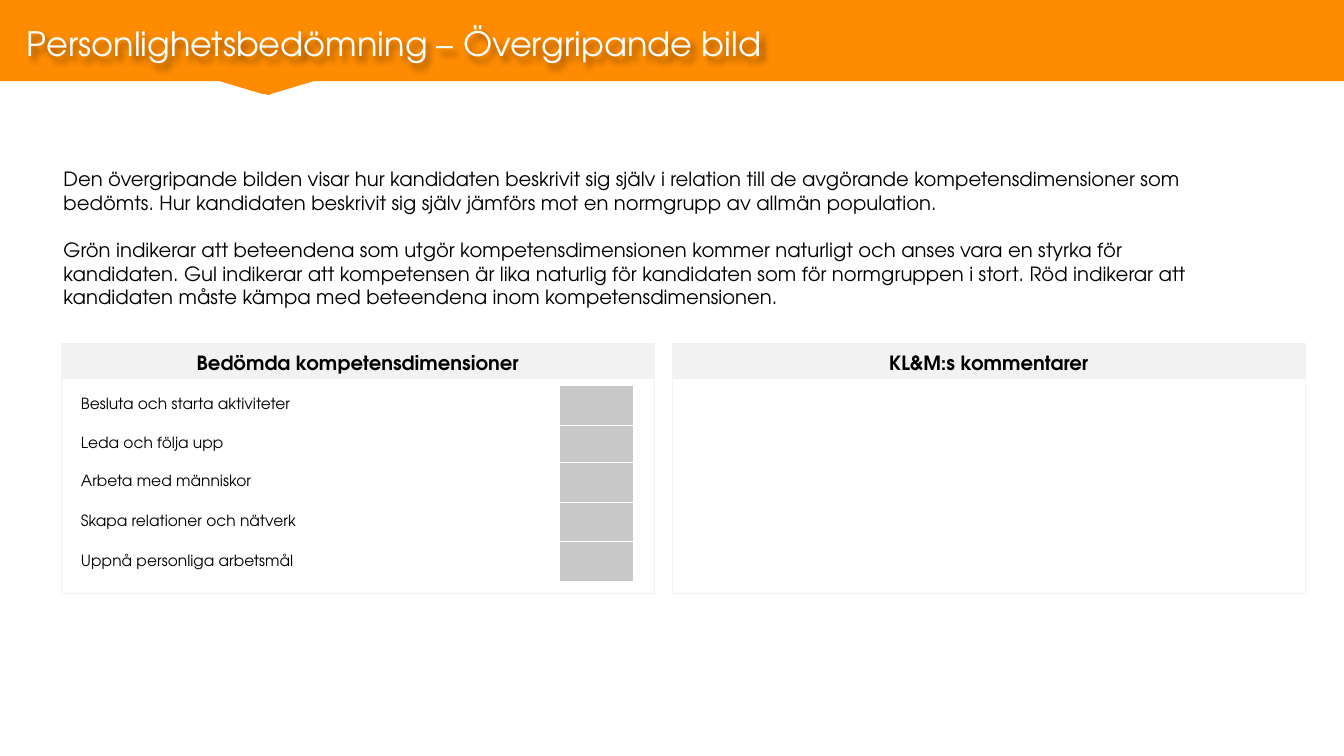
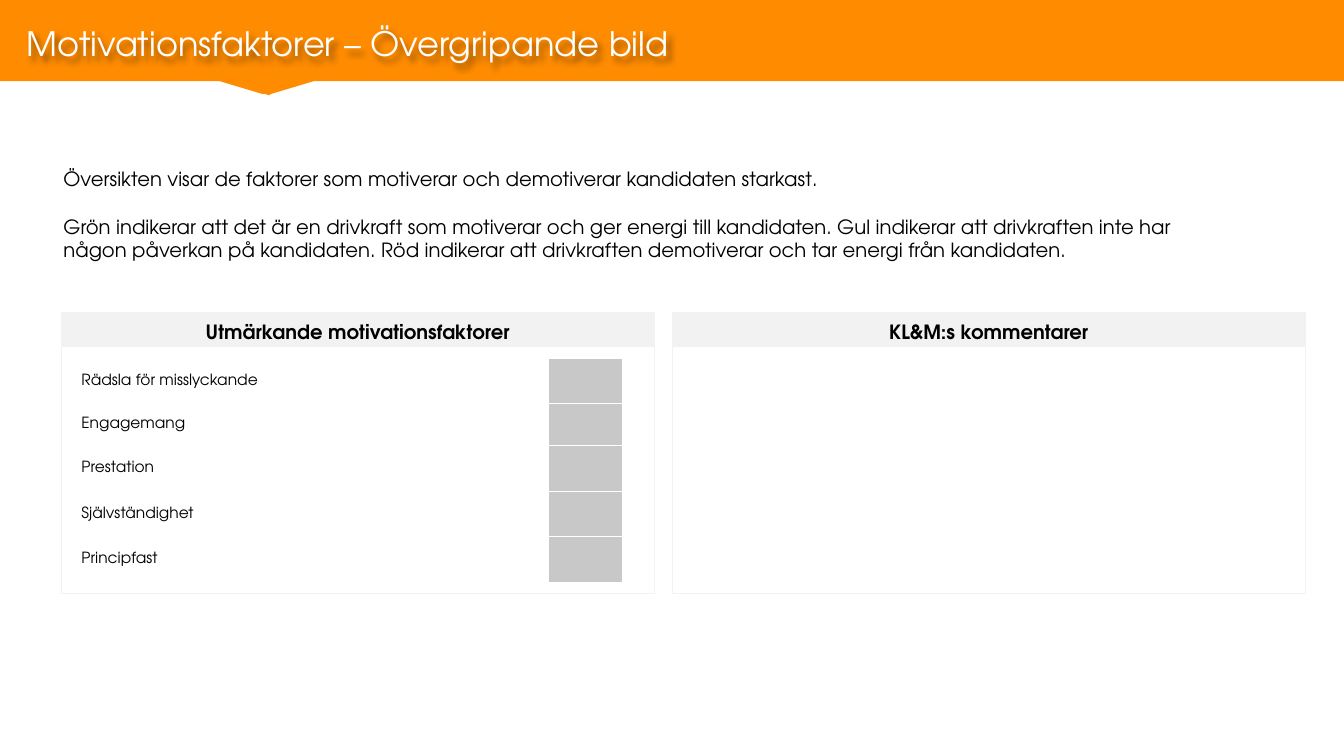
"""Build two assessment overview slides with competence and motivation panels."""
from dataclasses import dataclass

from lxml import etree
from pptx import Presentation
from pptx.dml.color import RGBColor
from pptx.enum.shapes import MSO_SHAPE
from pptx.enum.text import MSO_ANCHOR, PP_ALIGN
from pptx.oxml import parse_xml
from pptx.oxml.ns import nsdecls, qn
from pptx.util import Pt

RECT = MSO_SHAPE.RECTANGLE
TOP, MIDDLE, BOTTOM = MSO_ANCHOR.TOP, MSO_ANCHOR.MIDDLE, MSO_ANCHOR.BOTTOM
LEFT, CENTER = PP_ALIGN.LEFT, PP_ALIGN.CENTER


@dataclass(frozen=True)
class Theme:
    font: str = "TeX Gyre Adventor"
    band: str = "FF8C00"
    title: str = "FEFEFE"
    text: str = "000000"
    panel: str = "F2F2F2"
    score: str = "C8C8C8"
    grid: str = "FFFFFF"
    title_size: float = 24
    body_size: float = 14
    label_size: float = 11


@dataclass(frozen=True)
class Box:
    x: float
    y: float
    w: float
    h: float

    def emu(self) -> tuple:
        return Pt(self.x), Pt(self.y), Pt(self.w), Pt(self.h)


@dataclass(frozen=True)
class Overview:
    title: str
    intro: tuple[str, ...]
    intro_height: float
    heading: str
    panel_top: float
    table_top: float
    columns: tuple[float, float]
    rows: tuple[tuple[str, float], ...]
    label_inset: float


THEME = Theme()
SLIDE_W, SLIDE_H = 960, 540
BAND_H = 58.3
NOTCH = ((157, BAND_H), (187.2, 66.7), (189.4, 67.3), (191.5, 67.5),
         (193.7, 67.2), (194.4, 67), (223.9, BAND_H))
HEADER_H = 24.5
PANEL_BOTTOM = 424
PANELS = ((43.9, 423.4), (480.2, 452.2))
TABLE_X = 49
COMMENTS = "KL&M:s kommentarer"

OVERVIEWS = (
    Overview(
        "Personlighetsbedömning – Övergripande bild",
        ("Den övergripande bilden visar hur kandidaten beskrivit sig själv i relation "
         "till de avgörande kompetensdimensioner som bedömts. Hur kandidaten beskrivit "
         "sig själv jämförs mot en normgrupp av allmän population.",
         "Grön indikerar att beteendena som utgör kompetensdimensionen kommer naturligt "
         "och anses vara en styrka för kandidaten. Gul indikerar att kompetensen är lika "
         "naturlig för kandidaten som för normgruppen i stort. Röd indikerar att "
         "kandidaten måste kämpa med beteendena inom kompetensdimensionen."),
        108.7, "Bedömda kompetensdimensioner", 245.5, 275.4, (350.4, 53),
        (("Besluta och starta aktiviteter", 28.8), ("Leda och följa upp", 26.2),
         ("Arbeta med människor", 28.6), ("Skapa relationer och nätverk", 28),
         ("Uppnå personliga arbetsmål", 28.8)),
        8.8),
    Overview(
        "Motivationsfaktorer – Övergripande bild",
        ("Översikten visar de faktorer som motiverar och demotiverar kandidaten starkast.",
         "Grön indikerar att det är en drivkraft som motiverar och ger energi till "
         "kandidaten. Gul indikerar att drivkraften inte har någon påverkan på "
         "kandidaten. Röd indikerar att drivkraften demotiverar och tar energi från "
         "kandidaten."),
        74.9, "Utmärkande motivationsfaktorer", 223.2, 255.9, (343, 52.4),
        (("Rädsla för misslyckande", 32.2), ("Engagemang", 30.2), ("Prestation", 33),
         ("Självständighet", 32), ("Principfast", 33)),
        9.2),
)


def write(tf, *paragraphs: str, size: float, color: str = THEME.text,
          bold: bool = False, align=LEFT, anchor=TOP, gap: float = 0,
          line: float = 1, after: float = 0) -> None:
    tf.word_wrap = True
    tf.vertical_anchor = anchor
    for i, text in enumerate(paragraphs):
        p = tf.add_paragraph() if i else tf.paragraphs[0]
        p.alignment, p.line_spacing, p.space_after = align, line, Pt(after)
        if i:
            p.space_before = Pt(gap)
        r = p.add_run()
        r.text = text
        r.font.name, r.font.size, r.font.bold = THEME.font, Pt(size), bold
        r.font.color.rgb = RGBColor.from_string(color)


def add_text(s, box: Box, *paragraphs: str, **fmt):
    sp = s.shapes.add_textbox(*box.emu())
    write(sp.text_frame, *paragraphs, **fmt)
    return sp


def add_rect(s, box: Box, filled: bool):
    sp = s.shapes.add_shape(RECT, *box.emu())
    sp.shadow.inherit = False
    if filled:
        sp.fill.solid()
        sp.fill.fore_color.rgb = RGBColor.from_string(THEME.panel)
    else:
        sp.fill.background()
    sp.line.color.rgb = RGBColor.from_string(THEME.panel)
    sp.line.width = Pt(0.75)
    return sp


def add_band(s) -> None:
    outline = s.shapes.build_freeform(SLIDE_W, 0, scale=float(Pt(1)))
    outline.add_line_segments(
        ((0, 0), (0, BAND_H), *NOTCH, (SLIDE_W, BAND_H)), close=True)
    sp = outline.convert_to_shape()
    sp.shadow.inherit = False
    sp.fill.solid()
    sp.fill.fore_color.rgb = RGBColor.from_string(THEME.band)
    sp.line.fill.background()


def add_title(s, text: str) -> None:
    sp = add_text(s, Box(12.2, 5.8, 832.3, 43.2), text, size=THEME.title_size,
                  color=THEME.title, anchor=BOTTOM)
    sp._element.spPr.append(parse_xml(
        f'<a:effectLst {nsdecls("a")}><a:outerShdw blurRad="{Pt(4)}" '
        f'dist="{Pt(3)}" dir="2700000" algn="tl" rotWithShape="0">'
        '<a:srgbClr val="000000"><a:alpha val="40000"/></a:srgbClr>'
        '</a:outerShdw></a:effectLst>'))


def add_panel(s, x: float, w: float, top: float, heading: str) -> None:
    body_top = top + HEADER_H
    add_rect(s, Box(x, body_top, w, PANEL_BOTTOM - body_top), filled=False)
    tf = add_rect(s, Box(x, top, w, HEADER_H), filled=True).text_frame
    tf.margin_top = tf.margin_bottom = 0
    write(tf, heading, size=THEME.body_size, bold=True, align=CENTER,
          anchor=MIDDLE, line=1.14, after=2)


def set_borders(cell) -> None:
    tc_pr = cell._tc.get_or_add_tcPr()
    for i, side in enumerate(("lnL", "lnR", "lnT", "lnB")):
        ln = etree.Element(qn(f"a:{side}"), w=str(Pt(1)))
        fill = etree.SubElement(ln, qn("a:solidFill"))
        etree.SubElement(fill, qn("a:srgbClr"), val=THEME.grid)
        tc_pr.insert(i, ln)


def add_scores(s, o: Overview) -> None:
    box = Box(TABLE_X, o.table_top, sum(o.columns), sum(h for _, h in o.rows))
    table = s.shapes.add_table(len(o.rows), len(o.columns), *box.emu()).table
    table.first_row = table.horz_banding = False
    for column, width in zip(table.columns, o.columns):
        column.width = Pt(width)
    for row, (text, height) in zip(table.rows, o.rows):
        row.height = Pt(height)
        label, score = row.cells
        for cell in (label, score):
            cell.margin_left = cell.margin_right = Pt(o.label_inset)
            cell.margin_top = cell.margin_bottom = 0
            cell.vertical_anchor = MIDDLE
            set_borders(cell)
        label.fill.background()
        score.fill.solid()
        score.fill.fore_color.rgb = RGBColor.from_string(THEME.score)
        write(label.text_frame, text, size=THEME.label_size, anchor=MIDDLE)
        label.vertical_anchor = MIDDLE


def add_overview(prs, o: Overview) -> None:
    s = prs.slides.add_slide(prs.slide_layouts[6])
    add_band(s)
    add_title(s, o.title)
    add_text(s, Box(38.2, 115.9, 834.5, o.intro_height), *o.intro,
             size=THEME.body_size, gap=17)
    for (x, w), heading in zip(PANELS, (o.heading, COMMENTS)):
        add_panel(s, x, w, o.panel_top, heading)
    add_scores(s, o)


def main() -> None:
    prs = Presentation()
    prs.slide_width, prs.slide_height = Pt(SLIDE_W), Pt(SLIDE_H)
    for o in OVERVIEWS:
        add_overview(prs, o)
    prs.save("out.pptx")


if __name__ == "__main__":
    main()
